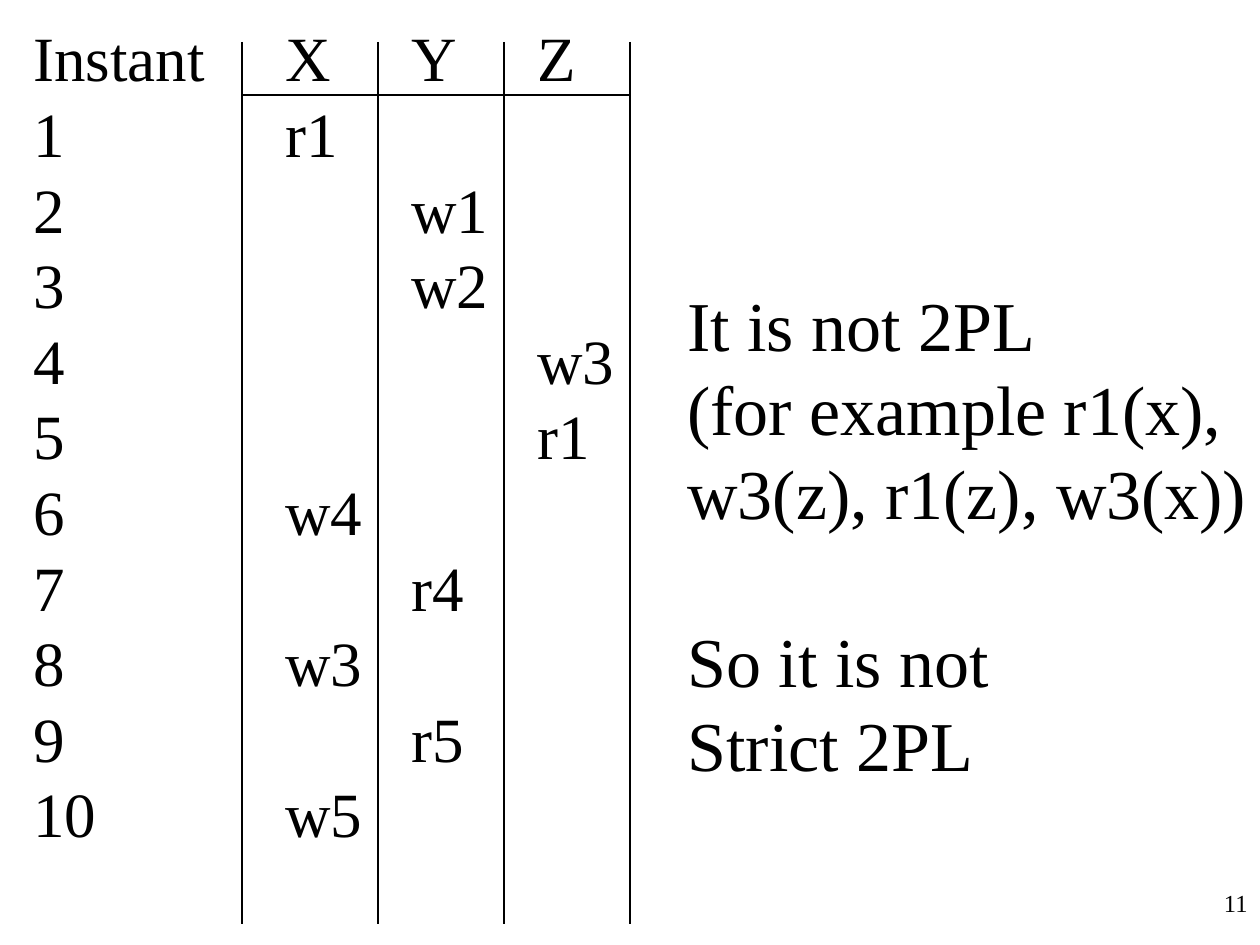
from pptx import Presentation, util as u
from pptx.dml import color
from pptx.enum import shapes, text
from pptx.oxml import ns
from lxml import etree

SCALE = 914400 / 126
COLORS = {"ink": "000000"}
FONT = "Times New Roman"
COLUMN = 126
ROW = 76
INSET = 6
SCHEDULE = [("1", "X", "r1"), ("2", "Y", "w1"), ("3", "Y", "w2"), ("4", "Z", "w3"),
            ("5", "Z", "r1"), ("6", "X", "w4"), ("7", "Y", "r4"), ("8", "X", "w3"),
            ("9", "Y", "r5"), ("10", "X", "w5")]
ITEMS = "XYZ"


def px(length):
    """Turn pixels into EMU."""
    return u.Emu(round(length * SCALE))


def ink():
    """Return the text and line colour."""
    return color.RGBColor.from_string(COLORS["ink"])


def apply(target, values):
    """Set attributes from a dict."""
    for name, value in values.items():
        setattr(target, name, value)


def add_tabs(para, count):
    """Add evenly spaced left tab stops to a paragraph."""
    stops = etree.SubElement(para._p.get_or_add_pPr(), ns.qn("a:tabLst"))
    for number in range(1, count + 1):
        etree.SubElement(stops, ns.qn("a:tab"), pos=str(px(number * COLUMN)), algn="l")


def add_text(page, box, lines, size, frame_format, para_format=None, tabs=0):
    """Write lines as paragraphs in a text box and return the paragraphs."""
    frame = page.shapes.add_textbox(*map(px, box)).text_frame
    apply(frame, frame_format)
    frame.text = "\n".join(lines)
    for para in frame.paragraphs:
        apply(para, {"line_spacing": u.Pt(size * 1.2), **(para_format or {})})
        if tabs:
            add_tabs(para, tabs)
        for span in para.runs:
            apply(span.font, {"name": FONT, "size": u.Pt(size)})
            span.font.color.rgb = ink()
    return frame.paragraphs


def add_rule(page, start, end):
    """Draw a thin straight line."""
    rule = page.shapes.add_connector(shapes.MSO_CONNECTOR.STRAIGHT, *map(px, start + end))
    rule.line.width = u.Pt(0.75)
    rule.line.color.rgb = ink()
    etree.SubElement(rule._element.spPr, ns.qn("a:effectLst"))


def add_schedule(page, left, top, width, height):
    """Write the schedule of operations and rule its columns."""
    rows = ["\t".join(["Instant", *ITEMS])]
    rows += [instant + "\t" * (ITEMS.index(item) + 2) + operation
             for instant, item, operation in SCHEDULE]
    add_text(page, (left, top, width, height), rows, 36,
             {"word_wrap": True, "vertical_anchor": text.MSO_ANCHOR.MIDDLE,
              "margin_bottom": px(INSET + ROW)}, tabs=len(ITEMS) + 1)
    right, first, rule_top = left + width - 21, left + 221, top + 21
    add_rule(page, (first, rule_top + 53), (right, rule_top + 53))
    for x in [first] + [right - COLUMN * step for step in (2, 1, 0)]:
        add_rule(page, (x, rule_top), (x, top + height))


def add_conclusion(page, left, top, width, height):
    """Write the verdict on the schedule."""
    lines = ["It is not 2PL", "(for example r1(x),", "w3(z), r1(z), w3(x))",
             "So it is not", "Strict 2PL"]
    paras = add_text(page, (left, top, width, height), lines, 40,
                     {"word_wrap": False, "auto_size": text.MSO_AUTO_SIZE.SHAPE_TO_FIT_TEXT})
    paras[3].space_before = u.Pt(48)


def add_page_number(page, left, top, width, height):
    """Write the page number at the right."""
    add_text(page, (left, top, width, height), ["11"], 14, {"word_wrap": True},
             {"alignment": text.PP_ALIGN.RIGHT})


def main():
    """Build and save the deck."""
    deck = Presentation()
    apply(deck, {"slide_width": px(1260), "slide_height": px(945)})
    page = deck.slides.add_slide(deck.slide_layouts[6])
    add_schedule(page, 21, 21, 630, 903)
    add_conclusion(page, 675, 275, 585, 517)
    add_page_number(page, 998, 882, 262, 63)
    deck.save("out.pptx")


if __name__ == "__main__":
    main()
